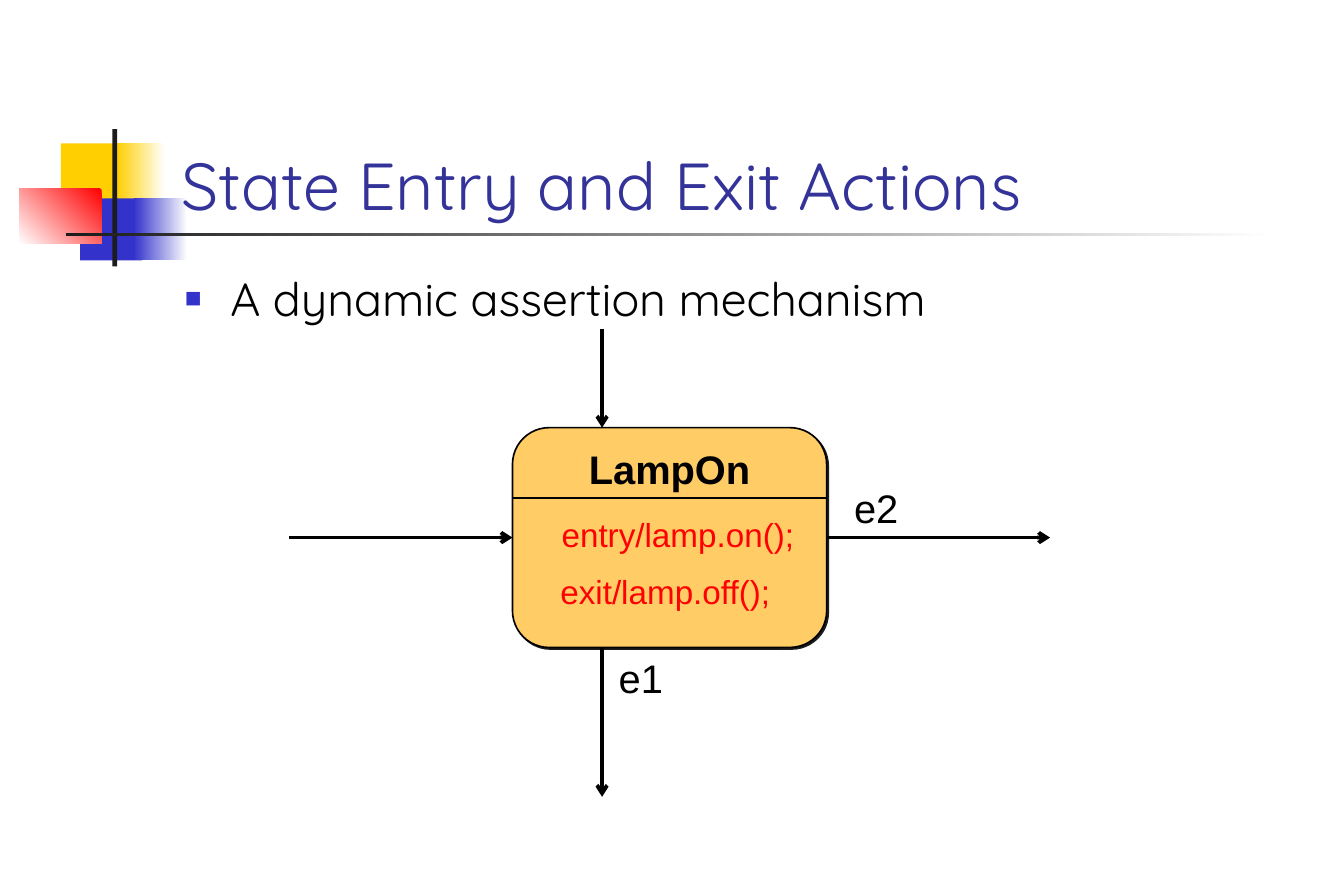
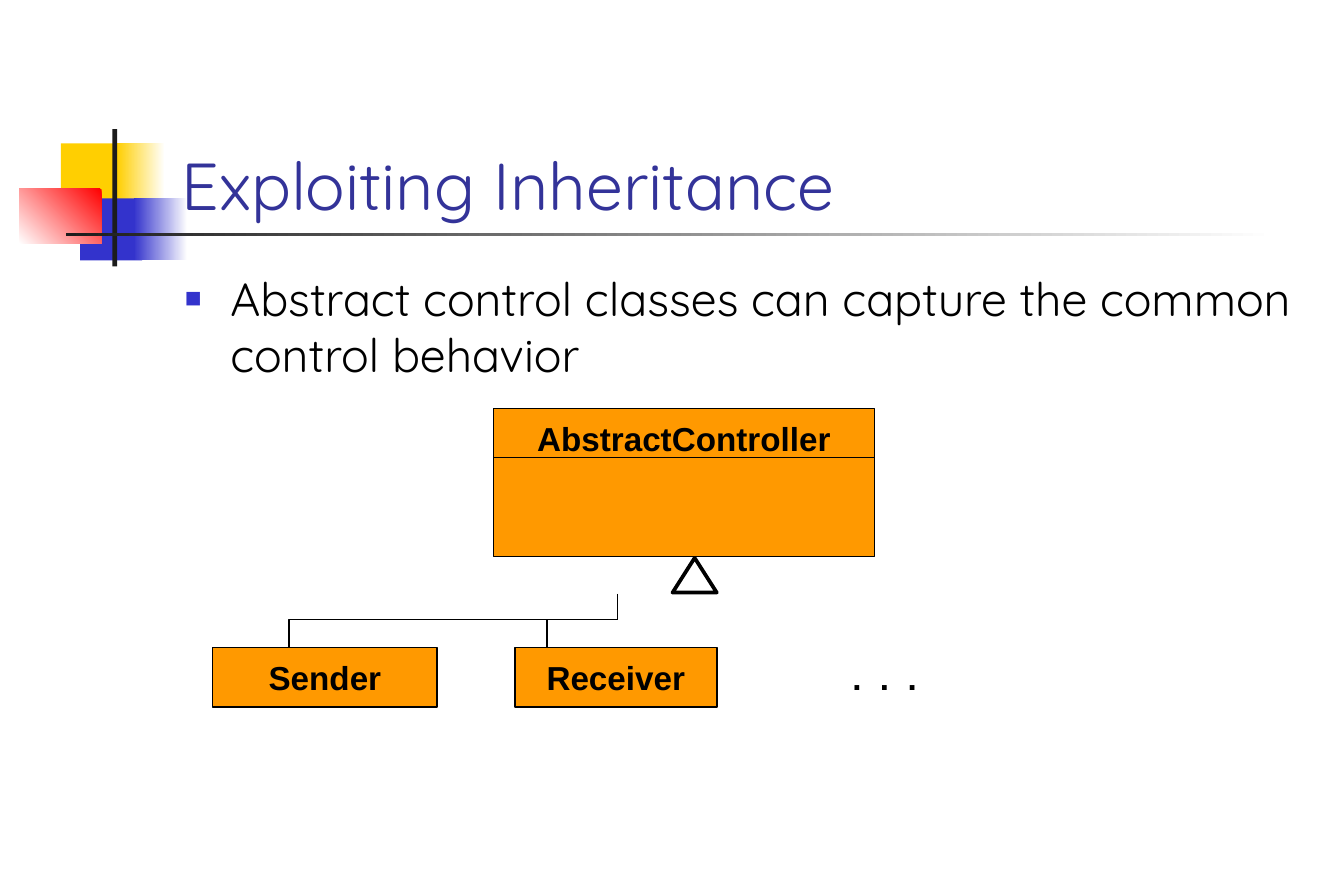
from dataclasses import dataclass

from lxml import etree
from pptx import Presentation
from pptx.dml.color import RGBColor as Color
from pptx.enum.shapes import MSO_CONNECTOR as Link, MSO_SHAPE as Preset
from pptx.enum.text import MSO_ANCHOR as Anchor, MSO_AUTO_SIZE as AutoSize, PP_ALIGN as Align
from pptx.oxml.ns import qn
from pptx.util import Inches, Pt


@dataclass(frozen=True)
class Theme:
    black: str = "000000"
    white: str = "FFFFFF"
    title: str = "333399"
    yellow: str = "FFCF01"
    blue: str = "3333CC"
    red: str = "FF0000"
    dark: str = "1C1C1C"
    state: str = "FFCC66"
    class_box: str = "FF9900"
    heading_font: str = "Quicksand"
    diagram_font: str = "Arial"
    title_size: int = 40
    body_size: int = 28
    large: int = 24
    small: int = 20
    thin: float = 1
    thick: float = 2.25


THEME = Theme()


def apply(target, values):
    for name, value in values.items():
        setattr(target, name, value)


def add_xml(parent, tag, **attributes):
    return etree.SubElement(parent, qn(tag), attributes)


def write(shape, text, size, color=THEME.black, font=THEME.diagram_font, bold=False,
          align=Align.CENTER, **frame_format):
    """Put one run of text in a shape; extra values go to its text frame."""
    frame = shape.text_frame
    apply(frame, {"word_wrap": False, "vertical_anchor": Anchor.MIDDLE, **frame_format})
    paragraph = frame.paragraphs[0]
    paragraph.alignment = align
    run = paragraph.add_run()
    run.text = text
    apply(run.font, {"name": font, "size": Pt(size), "bold": bold})
    run.font.color.rgb = Color.from_string(color)
    return run


def add_text(slide, box, text, size, **text_format):
    shape = slide.shapes.add_textbox(*map(Inches, box))
    write(shape, text, size, **text_format)
    return shape


def add_box(slide, box, fill, preset=Preset.RECTANGLE, line=None):
    """Draw a preset shape; a (start, end, angle) fill is a gradient."""
    shape = slide.shapes.add_shape(preset, *map(Inches, box))
    shape.shadow.inherit = False
    if isinstance(fill, tuple):
        *colors, angle = fill
        shape.fill.gradient()
        shape.fill.gradient_angle = angle
        for stop, color in zip(shape.fill.gradient_stops, colors):
            stop.color.rgb = Color.from_string(color)
    else:
        shape.fill.solid()
        shape.fill.fore_color.rgb = Color.from_string(fill)
    if line:
        style_line(shape.line, line)
    else:
        shape.line.fill.background()
    return shape


def style_line(line, width):
    line.width = Pt(width)
    line.color.rgb = Color.from_string(THEME.black)


def add_line(slide, start, end, width=THEME.thin, arrow=False, kind=Link.STRAIGHT):
    connector = slide.shapes.add_connector(kind, *map(Inches, (*start, *end)))
    style_line(connector.line, width)
    if arrow:
        add_xml(connector.line._get_or_add_ln(), "a:tailEnd", type="arrow")
    add_xml(connector._element.spPr, "a:effectLst")
    return connector


def add_arrow(slide, start, end):
    return add_line(slide, start, end, THEME.thick, arrow=True)


def add_branch(slide, start, end):
    """Draw an elbow that leaves downwards: a sideways elbow turned by 90 degrees."""
    center_x, center_y = ((a + b) / 2 for a, b in zip(start, end))
    half_width, half_height = (end[1] - start[1]) / 2, (start[0] - end[0]) / 2
    connector = add_line(slide, (center_x - half_width, center_y - half_height),
                         (center_x + half_width, center_y + half_height), kind=Link.ELBOW)
    properties = connector._element.spPr
    properties.find(qn("a:xfrm")).set("rot", "5400000")
    adjustments = properties.find(qn("a:prstGeom")).find(qn("a:avLst"))
    add_xml(adjustments, "a:gd", name="adj1", fmla="val 48200")


def add_hard_shadow(shape):
    effects = shape._element.spPr.find(qn("a:effectLst"))
    shadow = add_xml(effects, "a:outerShdw", dist=str(Pt(1.4)), dir="2700000",
                     algn="ctr", rotWithShape="0")
    add_xml(shadow, "a:srgbClr", val=THEME.dark)


def add_bullet(paragraph):
    properties = paragraph._p.get_or_add_pPr()
    indent = Inches(0.38)
    properties.set("marL", str(indent))
    properties.set("indent", str(-indent))
    add_xml(add_xml(properties, "a:buClr"), "a:srgbClr", val=THEME.blue)
    add_xml(properties, "a:buSzPct", val="60000")
    add_xml(properties, "a:buFont", typeface=THEME.diagram_font)
    add_xml(properties, "a:buChar", char="■")


def add_base_slide(presentation, title, statement):
    """Add a slide with the corner ornament, the title and one bullet."""
    slide = presentation.slides.add_slide(presentation.slide_layouts[6])
    ornament = [
        ((0.51, 1.2, 0.54, 0.52), THEME.yellow),
        ((0.98, 1.2, 0.4, 0.52), (THEME.white, THEME.yellow, 180)),
        ((0.67, 1.66, 0.52, 0.52), THEME.blue),
        ((1.12, 1.66, 0.45, 0.52), (THEME.white, THEME.blue, 180)),
        ((0.16, 1.58, 0.69, 0.46), (THEME.red, THEME.white, 225)),
        ((0.94, 1.08, 0.04, 1.15), THEME.dark),
        ((0.55, 1.95, 10.12, 0.03), (THEME.white, THEME.dark, 180)),
    ]
    for box, fill in ornament:
        add_box(slide, box, fill)
    heading = {"font": THEME.heading_font, "align": Align.LEFT, "word_wrap": True}
    add_text(slide, (1.42, 0.67, 9.59, 1.25), title, THEME.title_size,
             color=THEME.title, vertical_anchor=Anchor.BOTTOM, **heading)
    body = add_text(slide, (1.45, 2.21, 9.56, 4.5), statement, THEME.body_size,
                    vertical_anchor=Anchor.TOP, **heading)
    add_bullet(body.text_frame.paragraphs[0])
    return slide


def draw_lamp_state(slide):
    left, top, width, height = 4.29, 3.58, 2.63, 1.84
    right, bottom, middle = left + width, top + height, top + height / 2
    state = add_box(slide, (left, top, width, height), THEME.state,
                    Preset.ROUNDED_RECTANGLE, THEME.thin)
    add_hard_shadow(state)
    write(state, "LampOn", THEME.large, bold=True, vertical_anchor=Anchor.TOP)
    add_line(slide, (left, 4.17), (right, 4.17))

    labels = [
        ((4.6, 4.25, 2.15, 0.44), "entry/lamp.on();", THEME.small, THEME.red),
        ((4.59, 4.73, 1.96, 0.44), "exit/lamp.off();", THEME.small, THEME.red),
        ((5.08, 5.42, 0.57, 0.5), "e1", THEME.large, THEME.black),
        ((7.05, 4, 0.57, 0.5), "e2", THEME.large, THEME.black),
    ]
    for box, text, size, color in labels:
        add_text(slide, box, text, size, color=color, auto_size=AutoSize.SHAPE_TO_FIT_TEXT)

    reach, vertical_x = 1.87, 5.04
    add_arrow(slide, (left - reach, middle), (left, middle)).end_connect(state, 1)
    add_arrow(slide, (right, middle), (right + reach, middle)).begin_connect(state, 3)
    add_arrow(slide, (vertical_x, 2.75), (vertical_x, top))
    add_arrow(slide, (vertical_x, bottom), (vertical_x, 6.67))


def draw_controller_classes(slide):
    classes = [
        ((4.13, 3.42, 3.19, 0.5), "AbstractController"),
        ((1.78, 5.42, 1.88, 0.5), "Sender"),
        ((4.31, 5.42, 1.69, 0.5), "Receiver"),
    ]
    for box, name in classes:
        shape = add_box(slide, box, THEME.class_box, line=THEME.thin)
        write(shape, name, THEME.small, bold=True)
    add_box(slide, (4.13, 3.83, 3.19, 0.83), THEME.class_box, line=THEME.thin)

    more = add_box(slide, (6.56, 5.42, 1.69, 0.5), THEME.white)
    dots = write(more, ". . .", THEME.small, bold=True)
    dots._r.get_or_add_rPr().set("spc", "278")

    add_box(slide, (5.63, 4.67, 0.37, 0.29), THEME.white,
            Preset.ISOSCELES_TRIANGLE, THEME.thick)
    for child_x in (2.42, 4.58):
        add_branch(slide, (5.17, 4.97), (child_x, 5.42))


def main():
    presentation = Presentation()
    apply(presentation, {"slide_width": Inches(11.25), "slide_height": Inches(7.5)})
    draw_lamp_state(add_base_slide(
        presentation, "State Entry and Exit Actions", "A dynamic assertion mechanism"))
    draw_controller_classes(add_base_slide(
        presentation, "Exploiting Inheritance",
        "Abstract control classes can capture the common control behavior"))
    presentation.save("out.pptx")


if __name__ == "__main__":
    main()
